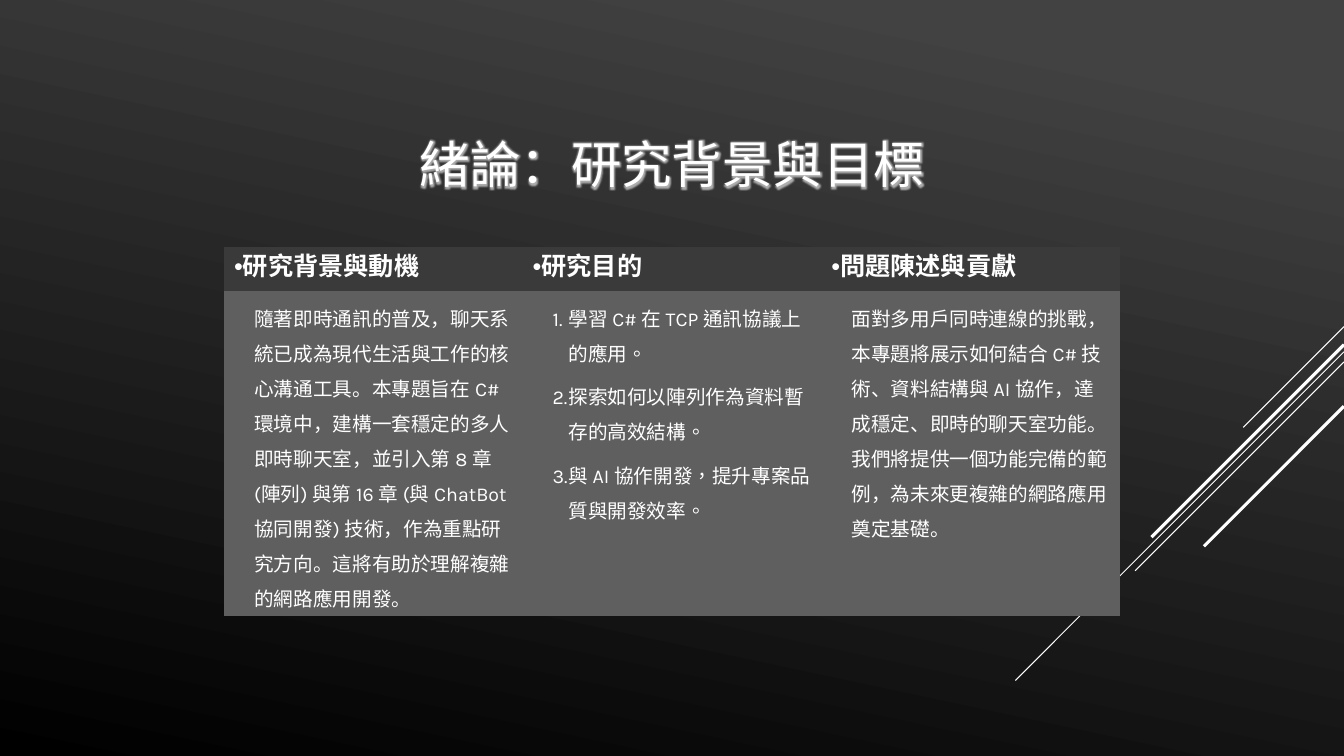
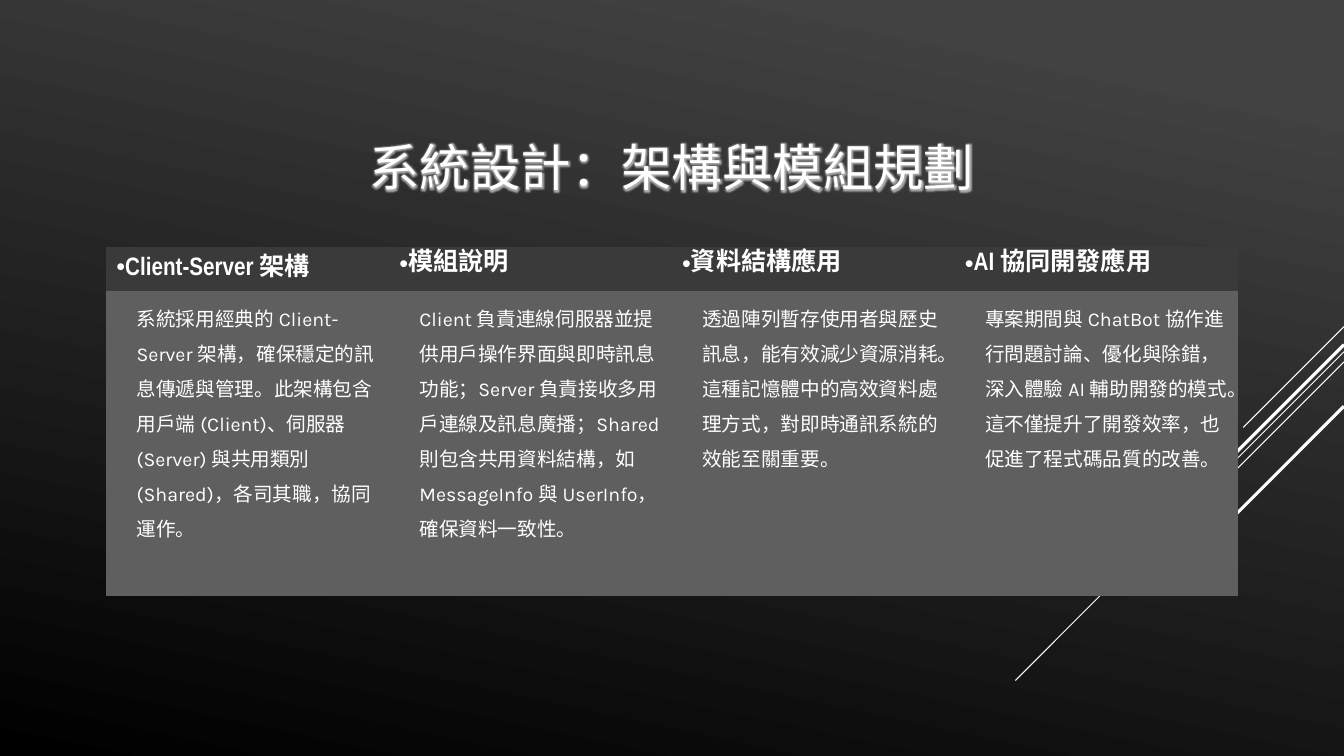
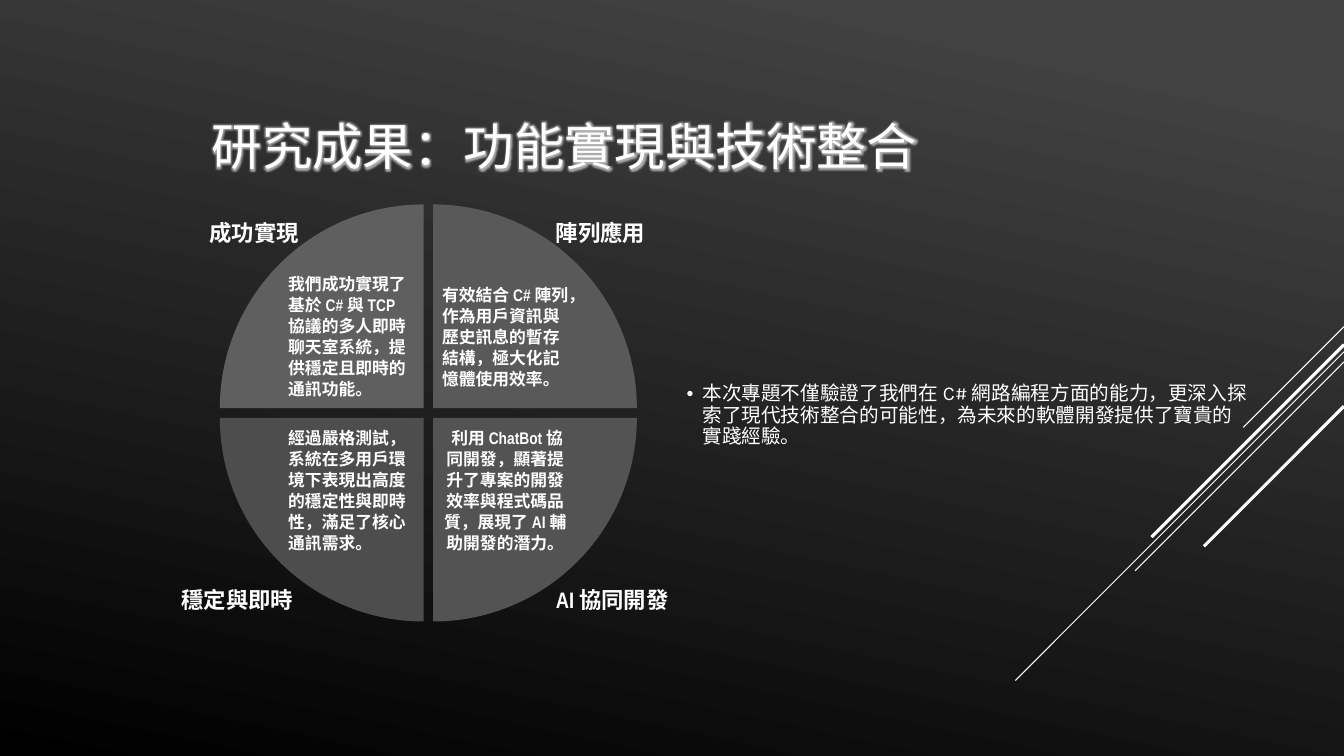
from dataclasses import dataclass

from lxml.etree import SubElement
from pptx import Presentation
from pptx.dml.color import RGBColor
from pptx.enum.shapes import MSO_CONNECTOR, MSO_SHAPE
from pptx.enum.text import MSO_ANCHOR, MSO_AUTO_SIZE, PP_ALIGN
from pptx.oxml import parse_xml
from pptx.oxml.ns import nsdecls, qn
from pptx.util import Pt


@dataclass(frozen=True)
class Theme:
    white: str = "FFFFFF"
    bg_light: str = "424242"
    bg_dark: str = "000000"
    header_fill: str = "3A3A3A"
    body_fill: str = "5F5F5F"
    wedge_fills: tuple = ("5F5F5F", "595959", "535353", "4D4D4D")
    main_font: str = "Karla"
    narrow_font: str = "Arial Narrow"
    title_size: float = 36
    header_size: float = 18
    label_size: float = 16
    body_size: float = 14
    wedge_size: float = 12
    hang: float = 11.25
    line_gap: float = 25


THEME = Theme()
MAIN, NARROW = THEME.main_font, THEME.narrow_font
NO_GRID_STYLE = "{2D5ABB26-0587-4C30-8999-92F81FD0307C}"

# Master decoration: diagonals from the right edge (start y, run, weight)
DIAGONALS = [(233.3, 72, 0.75), (251.3, 234.7, 0.75), (258.5, 149.2, 0.75),
             (246.2, 137.5, 2.25), (290.2, 100, 2.25)]

# Table slides: each column is (header runs, body paragraphs)
TABLE_SLIDES = [
    dict(
        title="緒論：研究背景與目標", spacing=None, left=160, width=640,
        columns=[
            ([("研究背景與動機", MAIN)],
             ["隨著即時通訊的普及，聊天系統已成為現代生活與工作的核心溝通工具。本專題旨在 C# 環境中，"
              "建構一套穩定的多人即時聊天室，並引入第 8 章 (陣列) 與第 16 章 (與 ChatBot 協同開發) 技術，"
              "作為重點研究方向。這將有助於理解複雜的網路應用開發。"]),
            ([("研究目的", MAIN)],
             ["學習 C# 在 TCP 通訊協議上的應用。",
              "探索如何以陣列作為資料暫存的高效結構。",
              "與 AI 協作開發，提升專案品質與開發效率。"]),
            ([("問題陳述與貢獻", MAIN)],
             ["面對多用戶同時連線的挑戰，本專題將展示如何結合 C# 技術、資料結構與 AI 協作，"
              "達成穩定、即時的聊天室功能。我們將提供一個功能完備的範例，為未來更複雜的網路應用奠定基礎。"]),
        ]),
    dict(
        title="系統設計：架構與模組規劃", spacing=47, left=76, width=808,
        columns=[
            ([("Client-Server ", NARROW), ("架構", MAIN)],
             ["系統採用經典的 Client-Server 架構，確保穩定的訊息傳遞與管理。此架構包含用戶端 (Client)、"
              "伺服器 (Server) 與共用類別 (Shared)，各司其職，協同運作。"]),
            ([("模組說明", NARROW)],
             ["Client 負責連線伺服器並提供用戶操作界面與即時訊息功能；Server 負責接收多用戶連線及訊息廣播；"
              "Shared 則包含共用資料結構，如 MessageInfo 與 UserInfo，確保資料一致性。"]),
            ([("資料結構應用", NARROW)],
             ["透過陣列暫存使用者與歷史訊息，能有效減少資源消耗。這種記憶體中的高效資料處理方式，"
              "對即時通訊系統的效能至關重要。"]),
            ([("AI 協同開發應用", NARROW)],
             ["專案期間與 ChatBot 協作進行問題討論、優化與除錯，深入體驗 AI 輔助開發的模式。"
              "這不僅提升了開發效率，也促進了程式碼品質的改善。"]),
        ]),
]

# Results slide: quadrants clockwise from top left
# (column, row, label, label left, label width, text, alignment)
RESULTS_TITLE = "研究成果：功能實現與技術整合"
QUADRANTS = [
    (0, 0, "成功實現", 142.5, 79,
     "我們成功實現了基於 C# 與 TCP 協議的多人即時聊天室系統，提供穩定且即時的通訊功能。", PP_ALIGN.LEFT),
    (1, 0, "陣列應用", 390, 79,
     "有效結合 C# 陣列，作為用戶資訊與歷史訊息的暫存結構，極大化記憶體使用效率。", PP_ALIGN.LEFT),
    (1, 1, "AI 協同開發", 390, 99.5,
     " 利用 ChatBot 協同開發，顯著提升了專案的開發效率與程式碼品質，展現了 AI 輔助開發的潛力。",
     PP_ALIGN.CENTER),
    (0, 1, "穩定與即時", 122.5, 95,
     "經過嚴格測試，系統在多用戶環境下表現出高度的穩定性與即時性，滿足了核心通訊需求。", PP_ALIGN.LEFT),
]
CONCLUSION = ("本次專題不僅驗證了我們在 C# 網路編程方面的能力，更深入探索了現代技術整合的可能性，"
              "為未來的軟體開發提供了寶貴的實踐經驗。")


def rgb(value):
    return RGBColor.from_string(value)


def place(part, left, top, width, height):
    part.left, part.top, part.width, part.height = map(Pt, (left, top, width, height))


def add_run(paragraph, text, size, font=MAIN, bold=False):
    run = paragraph.add_run()
    run.text = text
    run.font.size, run.font.bold, run.font.name = Pt(size), bold, font
    run.font.color.rgb = rgb(THEME.white)
    props = run._r.get_or_add_rPr()
    east_asian = SubElement(props, qn("a:ea"))
    east_asian.set("typeface", font)
    return props


def indent(paragraph, left, first=0, bullet=None):
    """Set indents; bullet is a character, or "1." for automatic numbers."""
    props = paragraph._p.get_or_add_pPr()
    props.set("marL", str(Pt(left)))
    props.set("indent", str(Pt(first)))
    if bullet == "1.":
        SubElement(props, qn("a:buFont")).set("typeface", MAIN)
        SubElement(props, qn("a:buAutoNum")).set("type", "arabicPeriod")
    elif bullet:
        SubElement(props, qn("a:buFont")).set("typeface", "Arial")
        SubElement(props, qn("a:buChar")).set("char", bullet)


def set_insets(frame, inset):
    frame.margin_left = frame.margin_right = Pt(inset)
    frame.margin_top = frame.margin_bottom = Pt(inset)


def decorate_master(prs):
    master = prs.slide_master
    fill = master.background.fill
    fill.gradient()
    fill.gradient_angle = 360 - 102
    for stop, position, color in zip(fill.gradient_stops, (0.1, 1),
                                     (THEME.bg_light, THEME.bg_dark)):
        stop.position, stop.color.rgb = position, rgb(color)


def move_diagonals_to_master(slide, prs):
    right = prs.slide_width.pt
    for top, run, weight in DIAGONALS:
        diagonal = slide.shapes.add_connector(
            MSO_CONNECTOR.STRAIGHT, Pt(right), Pt(top), Pt(right - run), Pt(top + run))
        diagonal.line.color.rgb = rgb(THEME.white)
        diagonal.line.width = Pt(weight)
        SubElement(diagonal._element.spPr, qn("a:effectLst"))
        prs.slide_master.shapes.element.append(diagonal._element)


def set_title(slide, text, top=57.6, spacing=47, align=PP_ALIGN.CENTER):
    title = slide.shapes.title
    place(title, 144, top, 672, 118.8)
    frame = title.text_frame
    frame.auto_size, frame.vertical_anchor = MSO_AUTO_SIZE.NONE, MSO_ANCHOR.MIDDLE
    paragraph = frame.paragraphs[0]
    paragraph.alignment = align
    if spacing:
        paragraph.line_spacing = Pt(spacing)
    props = add_run(paragraph, text, THEME.title_size)
    glow = parse_xml(
        f'<a:effectLst {nsdecls("a")}><a:glow rad="{Pt(4)}"><a:srgbClr val="{THEME.white}">'
        '<a:alpha val="60000"/></a:srgbClr></a:glow></a:effectLst>')
    props.find(qn("a:solidFill")).addnext(glow)


def fill_cell(cell, color):
    cell.fill.solid()
    cell.fill.fore_color.rgb = rgb(color)


def add_topic_table(slide, left, width, columns):
    frame = slide.shapes.add_table(2, len(columns), Pt(left), Pt(176.4), Pt(width), Pt(249))
    table = frame.table
    table._tbl.tblPr.find(qn("a:tableStyleId")).text = NO_GRID_STYLE
    table.first_row = table.horz_banding = False
    table.rows[0].height, table.rows[1].height = Pt(31.5), Pt(217.5)
    for index, (header_runs, body) in enumerate(columns):
        table.columns[index].width = Pt(width / len(columns))
        header_cell, body_cell = table.cell(0, index), table.cell(1, index)
        fill_cell(header_cell, THEME.header_fill)
        fill_cell(body_cell, THEME.body_fill)

        header = header_cell.text_frame.paragraphs[0]
        indent(header, 0, -THEME.hang, "•")
        for text, font in header_runs:
            add_run(header, text, THEME.header_size, font, bold=True)

        numbered = len(body) > 1
        for number, text in enumerate(body):
            body_frame = body_cell.text_frame
            paragraph = body_frame.add_paragraph() if number else body_frame.paragraphs[0]
            paragraph.line_spacing = Pt(THEME.line_gap)
            if numbered:
                paragraph.space_after = Pt(6)
                indent(paragraph, 25.5, -THEME.hang, "1.")
            else:
                indent(paragraph, 14.4)
            props = add_run(paragraph, text, THEME.body_size)
            if numbered:
                props.set("lang", "zh-TW")


def add_text(slide, box, text, size, spacing, align=PP_ALIGN.LEFT):
    text_box = slide.shapes.add_textbox(*map(Pt, box))
    paragraph = text_box.text_frame.paragraphs[0]
    paragraph.alignment, paragraph.line_spacing = align, Pt(spacing)
    add_run(paragraph, text, size, NARROW, bold=True)
    return text_box.text_frame


def add_quadrants(slide):
    left, top, size, step, text_size = 157, 146, 145.5, 152.4, 103
    for turn, (column, row, label, label_left, label_width, text, align) in enumerate(QUADRANTS):
        x, y = left + column * step, top + row * step
        wedge = slide.shapes.add_shape(MSO_SHAPE.PIE_WEDGE, Pt(x), Pt(y), Pt(size), Pt(size))
        wedge.rotation = 90 * turn
        wedge.shadow.inherit = False
        wedge.fill.solid()
        wedge.fill.fore_color.rgb = rgb(THEME.wedge_fills[turn])
        wedge.line.fill.background()

        # Text sits in the corner nearest the centre of the circle
        inner = size - text_size
        box = (x + inner * (1 - column), y + inner * (1 - row), text_size, text_size)
        frame = add_text(slide, box, text, THEME.wedge_size, 15, align)
        frame.word_wrap, frame.vertical_anchor = True, MSO_ANCHOR.MIDDLE
        set_insets(frame, 6.4)

        label_box = (label_left, 147 + row * 262, label_width, 30)
        label_frame = add_text(slide, label_box, label, THEME.label_size, THEME.line_gap)
        label_frame.word_wrap = False
        label_frame.auto_size = MSO_AUTO_SIZE.SHAPE_TO_FIT_TEXT


def set_conclusion(slide):
    conclusion = slide.placeholders[1]
    place(conclusion, 490.5, 274.3, 402.5, 34)
    frame = conclusion.text_frame
    frame.auto_size, frame.vertical_anchor = MSO_AUTO_SIZE.NONE, MSO_ANCHOR.TOP
    set_insets(frame, 0)
    paragraph = frame.paragraphs[0]
    paragraph.line_spacing, paragraph.space_before = 0.9, Pt(0)
    indent(paragraph, THEME.hang, -THEME.hang, "•")
    add_run(paragraph, CONCLUSION, THEME.body_size)


def main():
    prs = Presentation()
    prs.slide_width, prs.slide_height = Pt(960), Pt(540)
    decorate_master(prs)

    # Background and system design
    for content in TABLE_SLIDES:
        slide = prs.slides.add_slide(prs.slide_layouts[5])
        set_title(slide, content["title"], spacing=content["spacing"])
        add_topic_table(slide, content["left"], content["width"], content["columns"])

    # Results
    results = prs.slides.add_slide(prs.slide_layouts[1])
    set_title(results, RESULTS_TITLE, top=42.5, align=PP_ALIGN.LEFT)
    add_quadrants(results)
    set_conclusion(results)

    move_diagonals_to_master(results, prs)
    prs.save("out.pptx")


if __name__ == "__main__":
    main()
